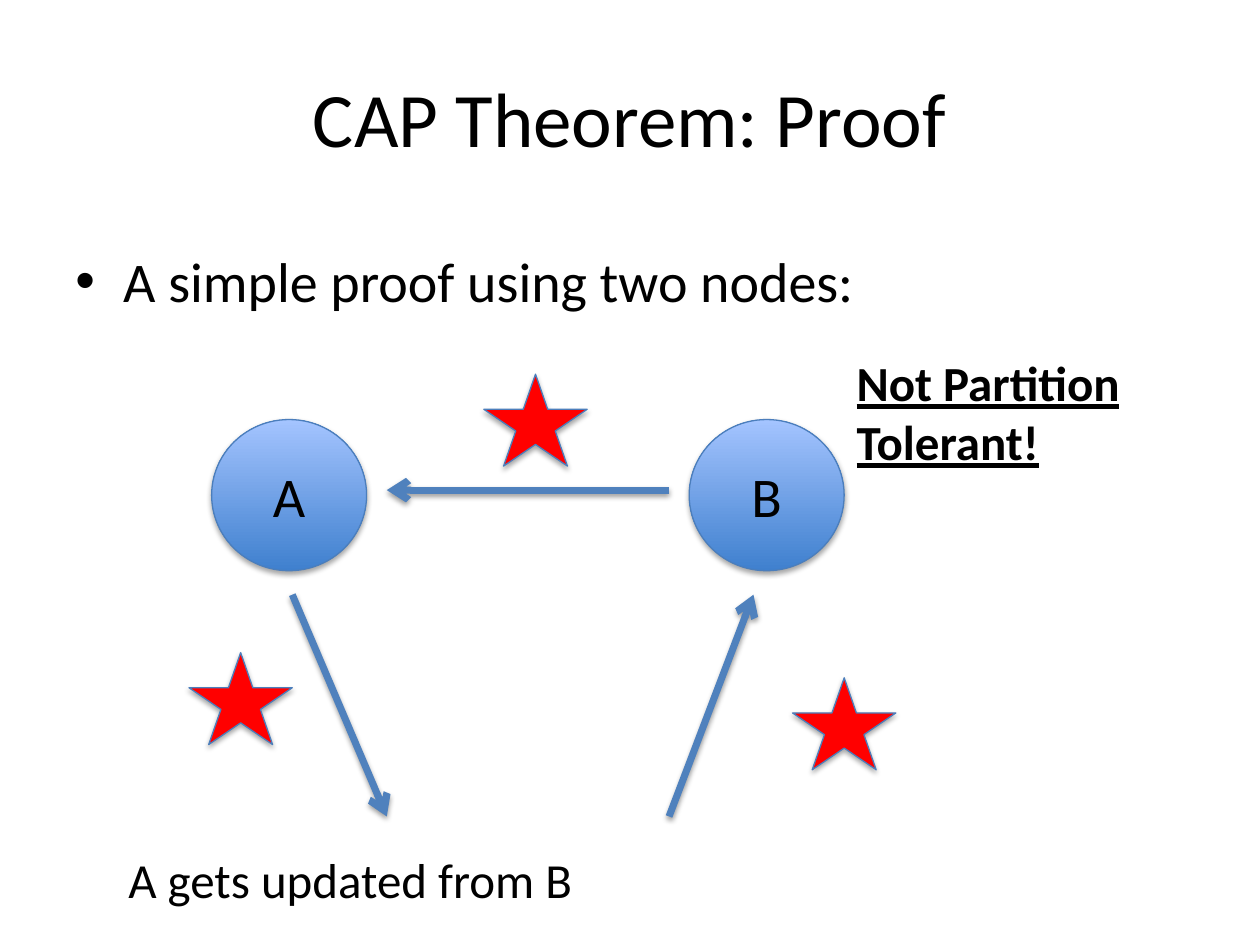
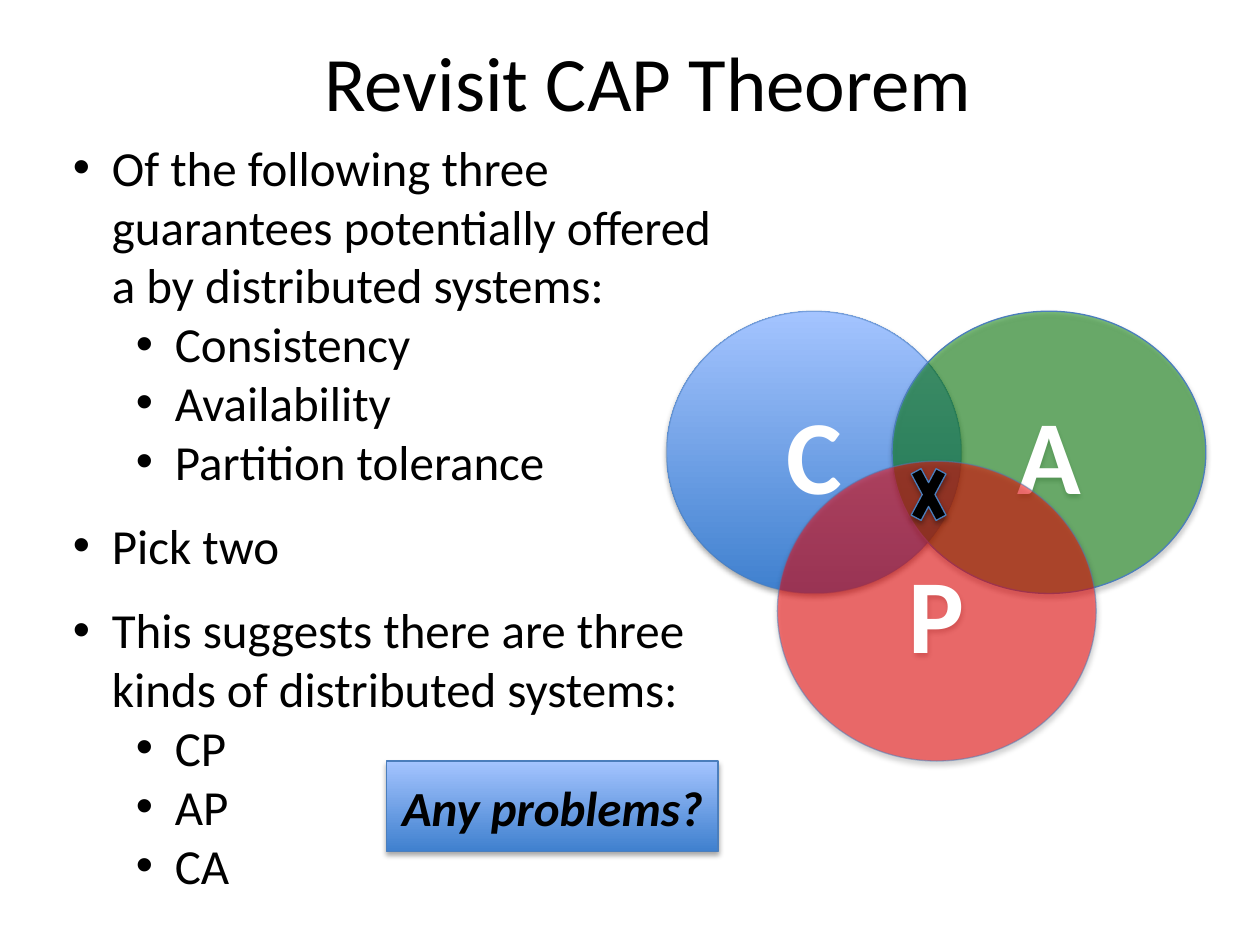
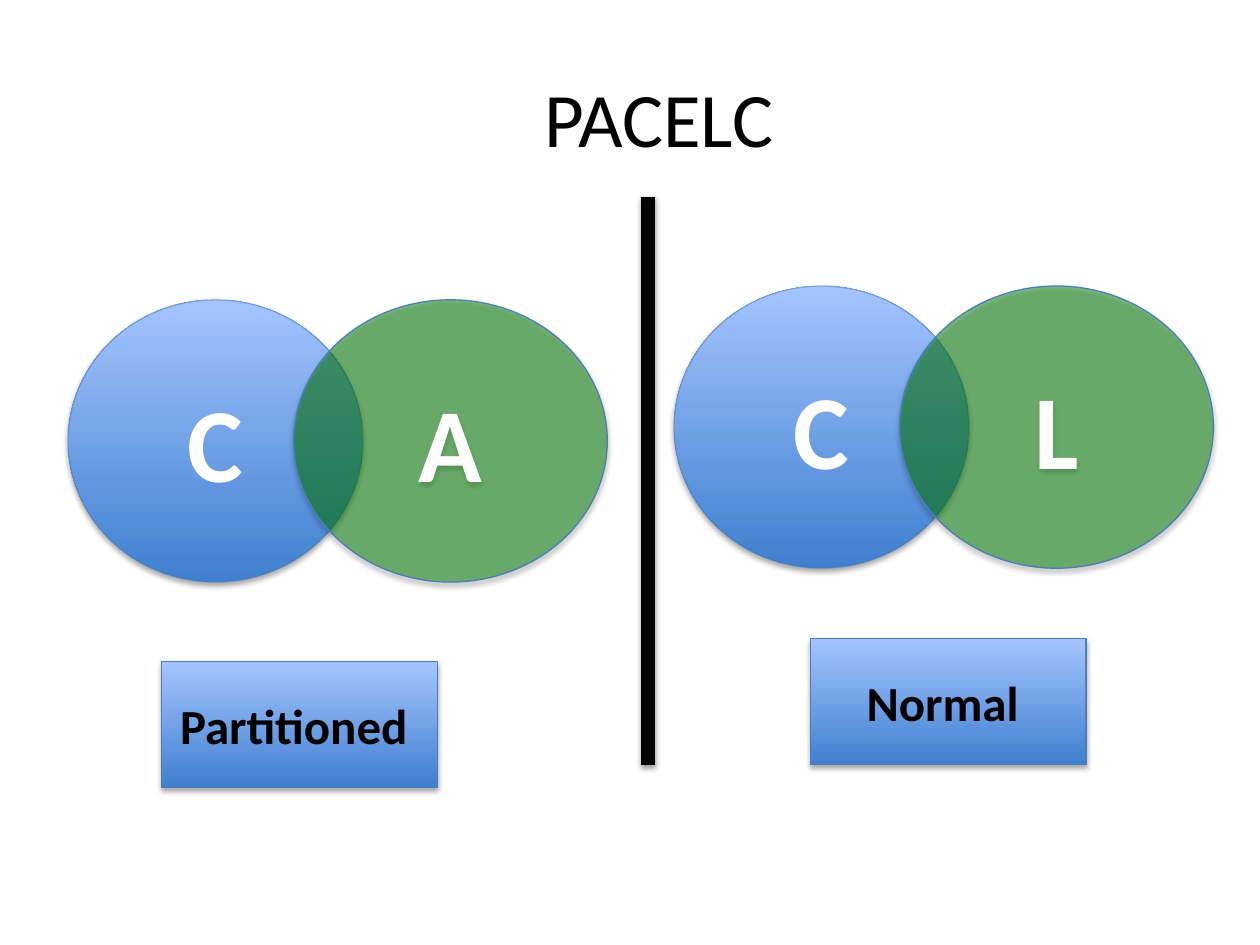
from dataclasses import dataclass
from typing import Optional

from lxml.etree import SubElement
from pptx import Presentation
from pptx.dml.color import RGBColor
from pptx.enum.shapes import MSO_CONNECTOR, MSO_SHAPE
from pptx.enum.text import MSO_ANCHOR, PP_ALIGN
from pptx.oxml.ns import qn
from pptx.util import Inches, Pt

FONT = "Calibri"
COLORS = {
    "black": "000000",
    "white": "FFFFFF",
    "red": "FF0000",
    "green": "008000",
    "edge": "4B7EBC",
    "arrow": "4F81BD",
    "deep": "3F80CE",
    "pale": "A4C4FF",
}


@dataclass(frozen=True)
class Box:
    left: float
    top: float
    width: float
    height: float


@dataclass(frozen=True)
class Type:
    size: int
    color: str = "black"
    bold: bool = False
    slant: bool = False
    under: bool = False
    align: PP_ALIGN = PP_ALIGN.LEFT


@dataclass(frozen=True)
class Look:
    fill: Optional[str] = None
    alpha: int = 100
    edge: int = 100


@dataclass(frozen=True)
class Item:
    text: str
    level: int = 0
    before: float = 0


@dataclass(frozen=True)
class Line:
    start: tuple[float, float]
    end: tuple[float, float]
    color: str = "arrow"
    width: float = 4
    arrow: bool = True


CENTER = PP_ALIGN.CENTER
TITLE = Type(44, align=CENTER)
NODE = Type(32, align=CENTER)
SET = Type(60, "white", bold=True, align=CENTER)
LABEL = Type(28, bold=True, align=CENTER)
BLUE = Look()
BLUE_SET = Look(edge=50)
GREEN_SET = Look("green", alpha=50)
RED_SET = Look("red", alpha=50, edge=50)
STAR = Look("red")
CROSS = Look("black")


def shade(name: str) -> RGBColor:
    return RGBColor.from_string(COLORS[name])


def fade(part, alpha: int) -> None:
    if alpha < 100:
        color = next(part.iter(qn("a:srgbClr")))
        SubElement(color, qn("a:alpha"), val=str(alpha * 1000))


def cast(shape, alpha: int, drop: float) -> None:
    effects = SubElement(shape._element.spPr, qn("a:effectLst"))
    shadow = SubElement(effects, qn("a:outerShdw"), blurRad=str(Pt(3.1)),
                        dist=str(Pt(drop)), dir="5400000", rotWithShape="0")
    color = SubElement(shadow, qn("a:srgbClr"), val=COLORS["black"])
    fade(shadow, alpha)


def style(para, kind: Type) -> None:
    para.alignment = kind.align
    font = para.font
    font.name, font.size = FONT, Pt(kind.size)
    font.bold, font.italic, font.underline = kind.bold, kind.slant, kind.under
    font.color.rgb = shade(kind.color)


def place(box: Box) -> tuple:
    return tuple(Inches(n) for n in (box.left, box.top, box.width, box.height))


def write(slide, box: Box, text: str, kind: Type, anchor=MSO_ANCHOR.TOP) -> None:
    frame = slide.shapes.add_textbox(*place(box)).text_frame
    frame.word_wrap = True
    frame.vertical_anchor = anchor
    frame.text = text
    style(frame.paragraphs[0], kind)


def head(slide, box: Box, text: str) -> None:
    write(slide, box, text, TITLE, MSO_ANCHOR.MIDDLE)


def bullets(slide, box: Box, items: list[Item], kind: Type, hang: float) -> None:
    frame = slide.shapes.add_textbox(*place(box)).text_frame
    frame.word_wrap = True
    for index, item in enumerate(items):
        para = frame.add_paragraph() if index else frame.paragraphs[0]
        para.text = item.text
        para.level = item.level
        para.space_before = Pt(item.before)
        props = para._p.get_or_add_pPr()
        props.set("marL", str(Inches(hang + item.level / 2)))
        props.set("indent", str(-Inches(hang)))
        SubElement(props, qn("a:buFont"), typeface="Arial")
        SubElement(props, qn("a:buChar"), char="•")
        style(para, kind)


def draw(slide, form: MSO_SHAPE, box: Box, look: Look, text: str = "",
         kind: Type = LABEL) -> None:
    shape = slide.shapes.add_shape(form, *place(box))
    if look.fill:
        shape.fill.solid()
        shape.fill.fore_color.rgb = shade(look.fill)
        fade(shape._element.spPr, look.alpha)
    else:
        shape.fill.gradient()
        shape.fill.gradient_angle = 90
        for stop, name in zip(shape.fill.gradient_stops, ("deep", "pale")):
            stop.color.rgb = shade(name)
    shape.line.color.rgb = shade("edge")
    shape.line.width = Pt(0.75)
    fade(shape._element.spPr.find(qn("a:ln")), look.edge)
    cast(shape, 35, 1.8)
    if text:
        frame = shape.text_frame
        frame.vertical_anchor = MSO_ANCHOR.MIDDLE
        frame.text = text
        style(frame.paragraphs[0], kind)


def link(slide, line: Line) -> None:
    ends = [Inches(n) for n in line.start + line.end]
    shape = slide.shapes.add_connector(MSO_CONNECTOR.STRAIGHT, *ends)
    shape.line.color.rgb = shade(line.color)
    shape.line.width = Pt(line.width)
    if line.arrow:
        SubElement(shape._element.spPr.find(qn("a:ln")), qn("a:tailEnd"), type="arrow")
    cast(shape, 38, 1.6)


def pair(slide, left: float, top: float, mate: str) -> None:
    draw(slide, MSO_SHAPE.OVAL, Box(left, top, 2.34, 2.24), BLUE_SET, "C", SET)
    draw(slide, MSO_SHAPE.OVAL, Box(left + 1.79, top, 2.49, 2.24), GREEN_SET, mate, SET)


def proof(slide) -> None:
    head(slide, Box(0.5, 0.3, 9, 1.25), "CAP Theorem: Proof")
    bullets(slide, Box(0.5, 1.91, 8.04, 0.91),
            [Item("A simple proof using two nodes:")], Type(32), 0.38)
    for name, left in (("A", 1.68), ("B", 5.47)):
        draw(slide, MSO_SHAPE.OVAL, Box(left, 3.33, 1.23, 1.2), BLUE, name, NODE)
    for line in (Line((5.31, 6.48), (5.98, 4.72)),
                 Line((2.32, 4.72), (3.07, 6.48)),
                 Line((5.31, 3.89), (3.07, 3.89))):
        link(slide, line)
    for left, top in ((6.29, 5.38), (1.5, 5.18), (3.84, 2.97)):
        draw(slide, MSO_SHAPE.STAR_5_POINT, Box(left, top, 0.82, 0.73), STAR)
    write(slide, Box(6.7, 2.75, 3.08, 1.04), "Not Partition Tolerant!",
          Type(28, bold=True, under=True))
    write(slide, Box(0.92, 6.69, 3.98, 0.57), "A gets updated from B", Type(28))


def review(slide) -> None:
    head(slide, Box(0.48, 0.12, 9.33, 1.04), "Revisit CAP Theorem")
    pair(slide, 5.29, 2.47, "A")
    draw(slide, MSO_SHAPE.OVAL, Box(6.17, 3.66, 2.53, 2.38), RED_SET, "P", SET)
    draw(slide, MSO_SHAPE.MATH_MULTIPLY, Box(7.18, 3.57, 0.38, 0.71), CROSS)
    gap = 14.5
    items = [
        Item("Of the following three guarantees potentially offered "
             "a by distributed systems:"),
        Item("Consistency", 1),
        Item("Availability", 1),
        Item("Partition tolerance", 1),
        Item("Pick two", before=gap),
        Item("This suggests there are three kinds of distributed systems:", before=gap),
        Item("CP", 1),
        Item("AP", 1),
        Item("CA", 1),
    ]
    bullets(slide, Box(0.48, 1.04, 5.35, 6.16), items, Type(28), 0.31)
    draw(slide, MSO_SHAPE.RECTANGLE, Box(3.07, 6.04, 2.63, 0.72), BLUE,
         "Any problems?", Type(28, bold=True, slant=True, align=CENTER))


def split(slide) -> None:
    head(slide, Box(0.73, 0.3, 9, 1.25), "PACELC")
    pair(slide, 0.54, 2.38, "A")
    pair(slide, 5.35, 2.27, "L")
    link(slide, Line((5.14, 1.56), (5.14, 6.07), "black", 8, arrow=False))
    for text, left, top in (("Partitioned ", 1.28, 5.25), ("Normal ", 6.43, 5.07)):
        draw(slide, MSO_SHAPE.RECTANGLE, Box(left, top, 2.19, 1), BLUE, text)


def main() -> None:
    deck = Presentation()
    deck.slide_width, deck.slide_height = Inches(10), Inches(7.5)
    for build in (proof, review, split):
        build(deck.slides.add_slide(deck.slide_layouts[6]))
    deck.save("out.pptx")


if __name__ == "__main__":
    main()
